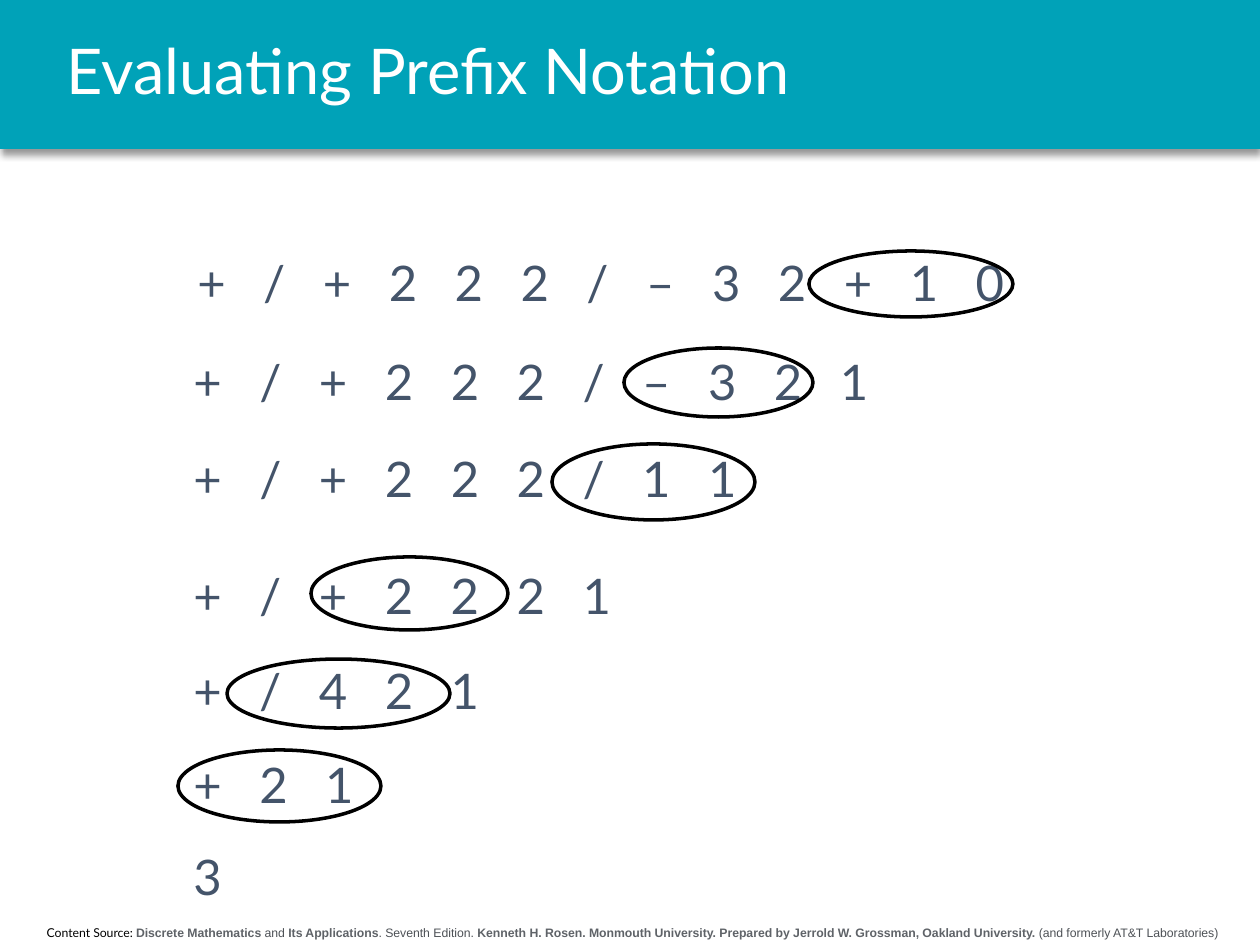
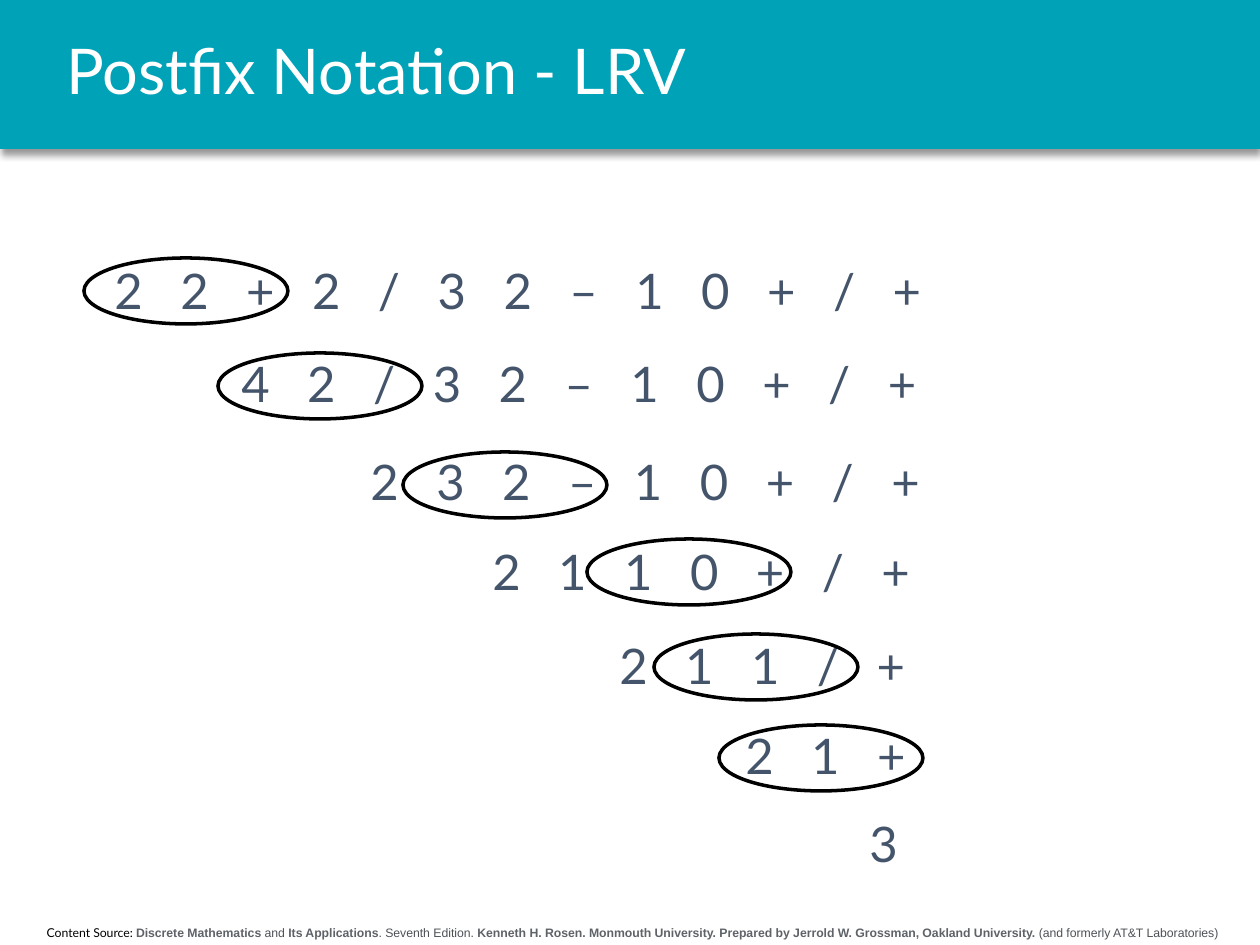
from lxml.etree import SubElement
from pptx import Presentation
from pptx.dml.color import RGBColor
from pptx.enum.shapes import MSO_SHAPE as Shape
from pptx.enum.text import MSO_ANCHOR as Anchor, MSO_AUTO_SIZE as AutoSize, PP_ALIGN as Align
from pptx.oxml.ns import qn
from pptx.util import Emu, Pt

PX = 914400 / 126
TEAL, WHITE, BLACK, SLATE = "00A2B8", "FFFFFF", "000000", "44546A"
DARK_GRAY, GRAY = "4D5156", "5F6368"
TOKEN_SPACING = 7.16  # points added after each character, so tokens stand apart

PAGE = (1260, 945)
BAND = (0, 0, 1260, 149)
TITLE = (54, 0, 1172, 149)
FOOTER = (5, 919, 1255, 28)

# Text, font, colour, bold
CREDIT = [
    ("Content Source: ", "Lato", BLACK, False),
    ("Discrete Mathematics", "Arial", GRAY, True),
    (" and ", "Arial", DARK_GRAY, False),
    ("Its Applications", "Arial", GRAY, True),
    (". Seventh Edition. ", "Arial", DARK_GRAY, False),
    ("Kenneth H. Rosen. Monmouth University. Prepared by Jerrold W. Grossman, "
     "Oakland University.", "Arial", GRAY, True),
    (" (and formerly AT&T Laboratories)", "Arial", DARK_GRAY, False),
]

# Expression, its box, line spacing, ellipse around the operation done next
PREFIX_STEPS = [
    ("+ / + 2 2 2 / – 3 2 + 1 0", (185, 253, 883, 67), 0.9, (809, 251, 204, 66)),
    ("+ / + 2 2 2 / – 3 2 1", (181, 345, 722, 72), 1.0, (624, 348, 189, 69)),
    ("+ / + 2 2 2 / 1 1", (181, 442, 611, 72), 1.0, (552, 444, 203, 76)),
    ("+ / + 2 2 2 1", (181, 559, 479, 72), 1.0, (311, 557, 197, 73)),
    ("+ / 4 2 1", (181, 654, 375, 72), 1.0, (227, 659, 223, 69)),
    ("+ 2 1", (181, 748, 247, 72), 1.0, (178, 750, 203, 72)),
    ("3", (181, 840, 52, 72), 1.0, None),
]

# Expression, left, top and width of its box, left and top of the ellipse
POSTFIX_ROWS = [
    ("2 2 + 2 / 3 2 – 1 0 + / +", 102, 261, 863, (84, 258)),
    ("4 2 / 3 2 – 1 0 + / +", 229, 354, 731, (218, 353)),
    ("2 3 2 – 1 0 + / +", 358, 452, 625, (403, 452)),
    ("2 1 1 0 + / +", 480, 542, 503, (587, 539)),
    ("2 1 1 / +", 607, 636, 368, (654, 634)),
    ("2 1 +", 733, 726, 249, (719, 725)),
    ("3", 857, 814, 84, None),
]
POSTFIX_STEPS = [
    (text, (left, top, width, 67), 0.9, corner and (*corner, 204, 66))
    for text, left, top, width, corner in POSTFIX_ROWS
]

SLIDES = [
    ("Evaluating Prefix Notation", PREFIX_STEPS),
    ("Postfix Notation - LRV", POSTFIX_STEPS),
]


def emu(box):
    return [Emu(round(value * PX)) for value in box]


def color(value):
    return RGBColor.from_string(value)


def add_run(paragraph, text, size=28, font="Lato", fill=SLATE, bold=False, spacing=0):
    run = paragraph.add_run()
    run.text = text
    run.font.size, run.font.name, run.font.bold = Pt(size), font, bold
    run.font.color.rgb = color(fill)
    if spacing:
        run.font._element.set("spc", str(round(spacing * 100)))


def add_paragraph_box(slide, box, line_spacing=1.0, align=Align.LEFT):
    """Add a wrapping text box and return its first paragraph."""
    frame = slide.shapes.add_textbox(*emu(box)).text_frame
    frame.word_wrap = True
    paragraph = frame.paragraphs[0]
    paragraph.alignment, paragraph.line_spacing = align, line_spacing
    return paragraph


def add_band(slide):
    band = slide.shapes.add_shape(Shape.RECTANGLE, *emu(BAND))
    band.fill.solid()
    band.fill.fore_color.rgb = color(TEAL)
    band.line.fill.background()
    band.shadow.inherit = False
    effects = band.element.spPr.find(qn("a:effectLst"))
    shadow = SubElement(effects, qn("a:outerShdw"), blurRad=str(Pt(4)), dist=str(Pt(3)),
                        dir="5400000", algn="t", rotWithShape="0")
    shade = SubElement(shadow, qn("a:srgbClr"), val=BLACK)
    SubElement(shade, qn("a:alpha"), val="40000")
    slide.shapes.title.element.addprevious(band.element)


def set_title(slide, text):
    title = slide.shapes.title
    title.left, title.top, title.width, title.height = emu(TITLE)
    frame = title.text_frame
    frame.word_wrap, frame.auto_size = True, AutoSize.NONE
    frame.vertical_anchor = Anchor.MIDDLE
    paragraph = frame.paragraphs[0]
    paragraph.alignment, paragraph.line_spacing = Align.LEFT, 0.9
    add_run(paragraph, text, size=36, fill=WHITE)


def add_footer(slide):
    paragraph = add_paragraph_box(slide, FOOTER, align=Align.CENTER)
    for text, font, fill, bold in CREDIT:
        add_run(paragraph, text, size=7, font=font, fill=fill, bold=bold)


def add_ellipse(slide, box):
    ellipse = slide.shapes.add_shape(Shape.OVAL, *emu(box))
    ellipse.fill.background()
    ellipse.line.color.rgb = color(BLACK)
    ellipse.line.width = Pt(2)
    ellipse.shadow.inherit = False


def main():
    presentation = Presentation()
    presentation.slide_width, presentation.slide_height = emu(PAGE)
    title_only = presentation.slide_layouts[5]
    for title, steps in SLIDES:
        slide = presentation.slides.add_slide(title_only)
        add_band(slide)
        set_title(slide, title)
        add_footer(slide)
        for text, box, line_spacing, ellipse in steps:
            paragraph = add_paragraph_box(slide, box, line_spacing)
            add_run(paragraph, text, spacing=TOKEN_SPACING)
            if ellipse:
                add_ellipse(slide, ellipse)
    presentation.save("out.pptx")


if __name__ == "__main__":
    main()
